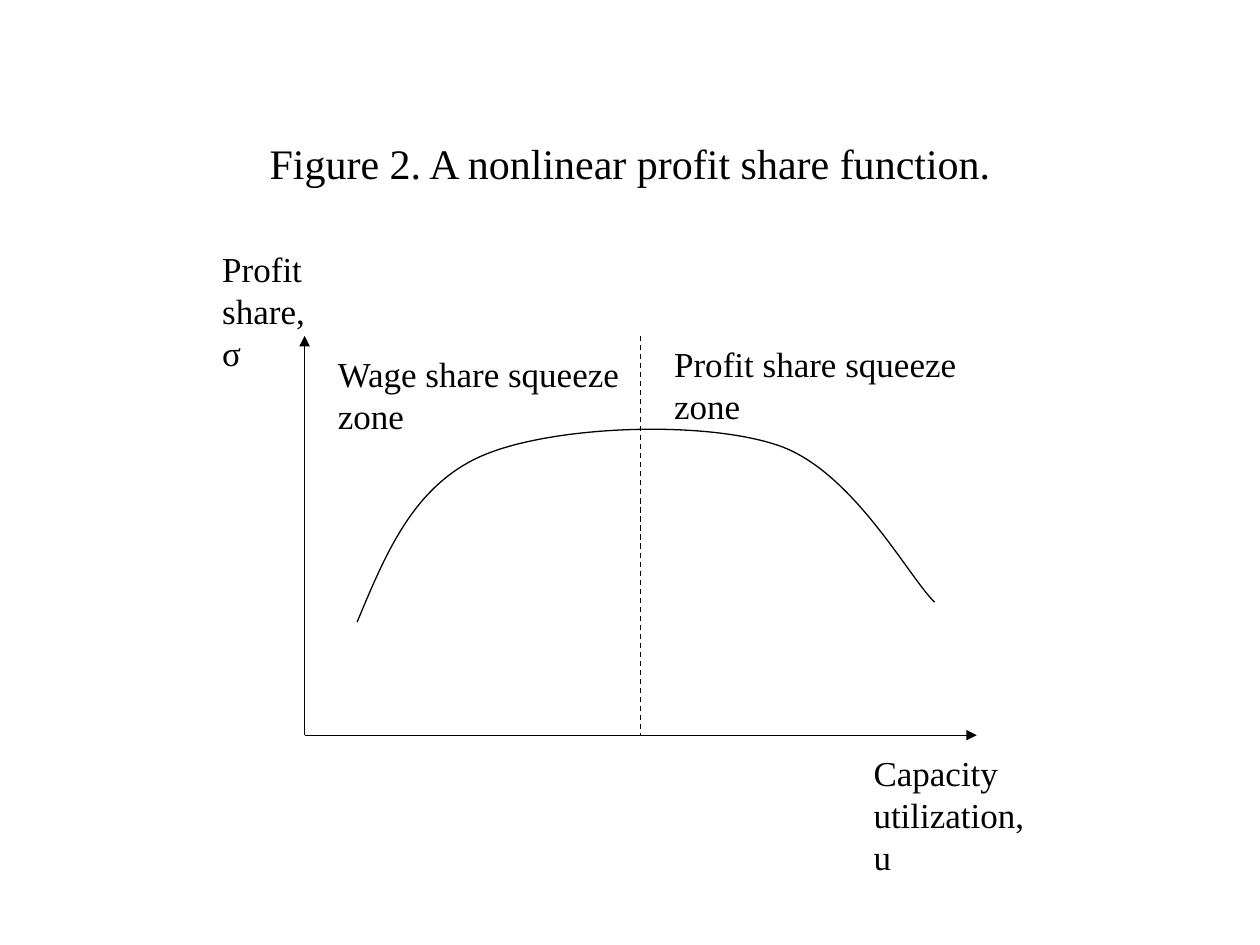
"""Build a slide with a graph of a nonlinear profit share function."""
from lxml.etree import SubElement as Sub
from pptx import Presentation as Deck
from pptx.dml.color import RGBColor as Rgb
from pptx.enum.dml import MSO_LINE as Dash
from pptx.enum.shapes import MSO_CONNECTOR as Link
from pptx.enum.text import MSO_ANCHOR as Anchor, MSO_AUTO_SIZE as Fit, PP_ALIGN as Align
from pptx.oxml.ns import qn
from pptx.util import Cm, Pt

INK = {"text": "000000", "line": "000000"}
FONT = "Times New Roman"
TITLE = ("Figure 2. A nonlinear profit share function.", (1.9, 1.69, 21.6, 3.18))
LABELS = [
    (["Wage share squeeze", "zone"], (6.56, 6.99, 6.4, 1.96)),
    (["Profit share squeeze", "zone"], (13.34, 6.77, 6.38, 1.96)),
    (["Profit", "share, σ"], (4.23, 4.87, 2.72, 1.96)),
    (["Capacity", "utilization, u"], (17.36, 15.03, 4.06, 1.96)),
]
LEFT, RIGHT, TOP, BASE = 6.14, 19.69, 6.77, 14.82
MID = (LEFT + RIGHT) / 2
AXES = [(LEFT, TOP), (RIGHT, BASE)]
CURVE = [
    (7.2, 12.54),
    (7.77, 11.18), (8.33, 9.78), (9.74, 9.18),
    (11.15, 8.58), (14.15, 8.47), (15.66, 8.97),
    (17.17, 9.46), (18.3, 11.61), (18.84, 12.14),
]


def write(slide, lines, box, size, wrap=False):
    frame = slide.shapes.add_textbox(*map(Cm, box)).text_frame
    frame.word_wrap = wrap
    frame.auto_size = Fit.NONE if wrap else Fit.SHAPE_TO_FIT_TEXT
    for i, line in enumerate(lines):
        para = frame.add_paragraph() if i else frame.paragraphs[0]
        run = para.add_run()
        run.text = line
        run.font.name = FONT
        run.font.size = Pt(size)
        run.font.color.rgb = Rgb.from_string(INK["text"])
    return frame


def ink(shape):
    shape.line.color.rgb = Rgb.from_string(INK["line"])
    shape.line.width = Pt(0.75)


def rule(slide, start, end):
    line = slide.shapes.add_connector(Link.STRAIGHT, *map(Cm, start + end))
    ink(line)
    return line


def plain(line):
    Sub(line._element.spPr, qn("a:effectLst"))


def draw(slide, points):
    first, *rest = [(Cm(x), Cm(y)) for x, y in points]
    pen = slide.shapes.build_freeform(*first, scale=1.0)
    pen.add_line_segments(rest, close=False)
    shape = pen.convert_to_shape()
    shape.shadow.inherit = False
    shape.fill.background()
    ink(shape)
    trace = next(shape._element.iter(qn("a:path")))
    steps = trace.findall(qn("a:lnTo"))
    for i in range(0, len(steps), 3):
        bend = Sub(trace, qn("a:cubicBezTo"))
        for step in steps[i:i + 3]:
            bend.append(step[0])
            trace.remove(step)


def main():
    deck = Deck()
    deck.slide_width, deck.slide_height = Cm(25.4), Cm(19.05)
    slide = deck.slides.add_slide(deck.slide_layouts[6])

    text, box = TITLE
    frame = write(slide, [text], box, 24, wrap=True)
    frame.vertical_anchor = Anchor.MIDDLE
    frame.paragraphs[0].alignment = Align.CENTER

    for tip in AXES:
        axis = rule(slide, (LEFT, BASE), tip)
        Sub(axis.line._get_or_add_ln(), qn("a:tailEnd"), type="triangle")
        plain(axis)
    draw(slide, CURVE)
    split = rule(slide, (MID, TOP), (MID, BASE))
    split.line.dash_style = Dash.DASH
    plain(split)

    for lines, box in LABELS:
        write(slide, lines, box, 20)
    deck.save("out.pptx")


if __name__ == "__main__":
    main()
